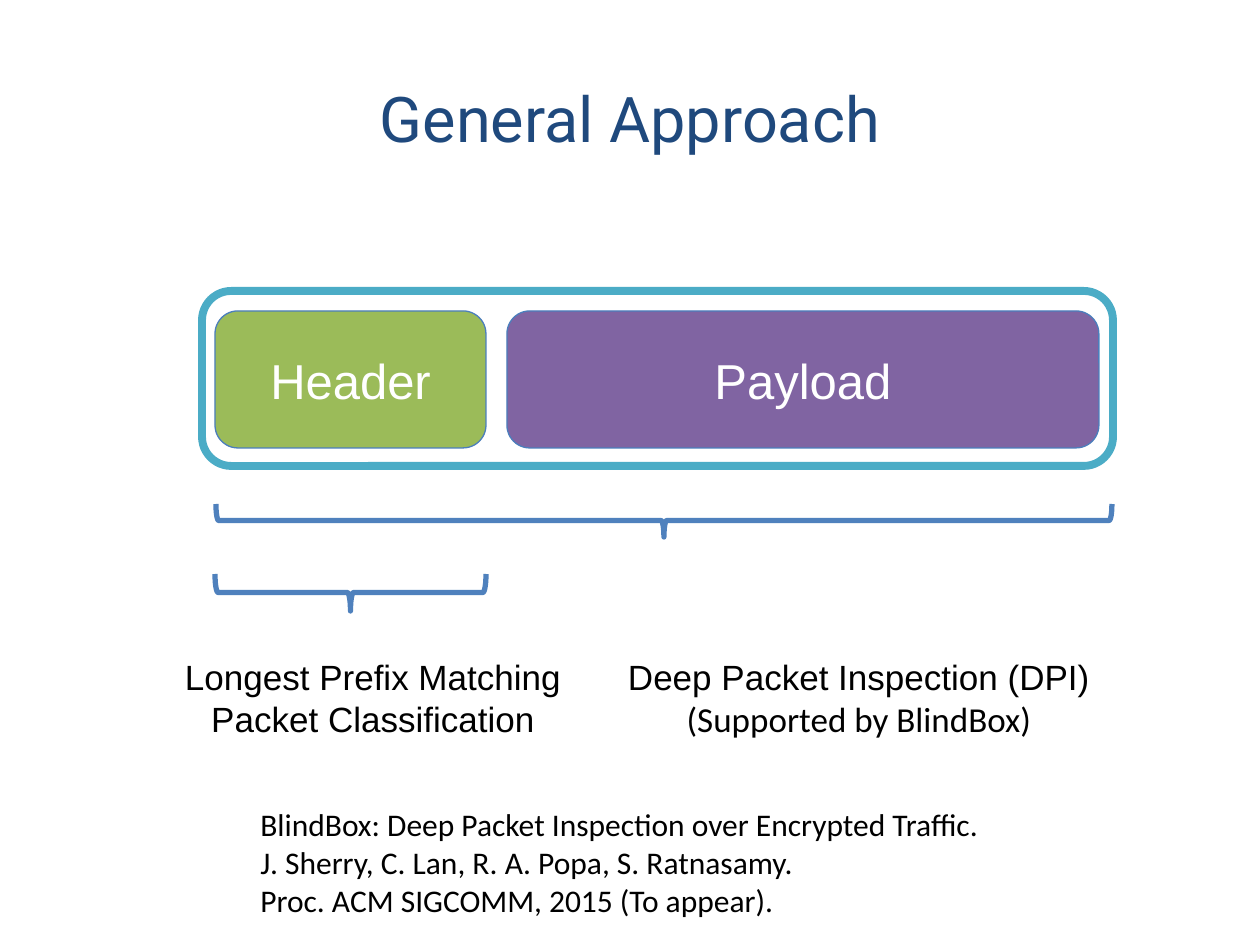
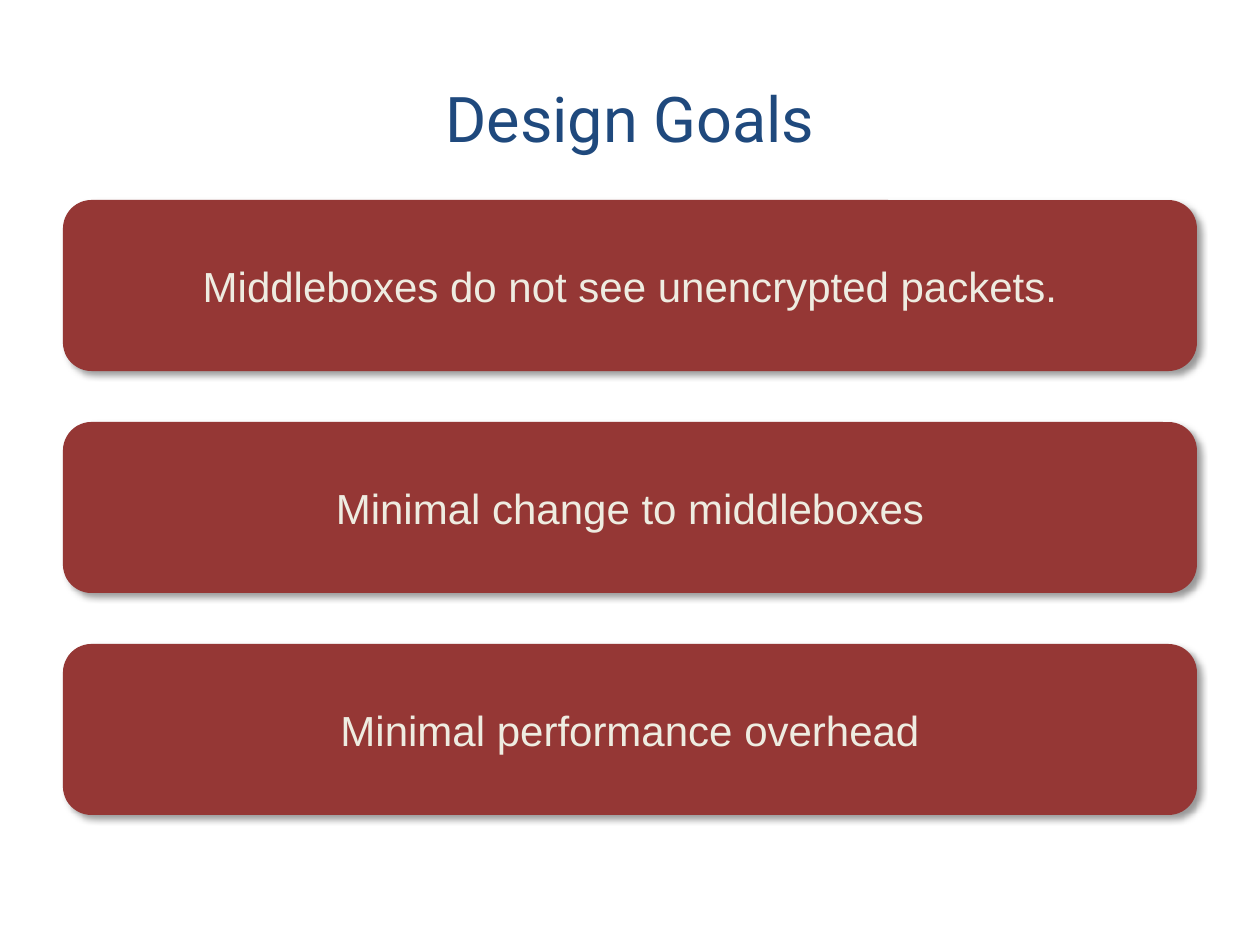
"""Build two slides on packet inspection: the general approach and the design goals."""
import pptx
import pptx.dml.color
import pptx.enum.shapes
import pptx.enum.text
import pptx.oxml
import pptx.oxml.ns
import pptx.util

RGBColor = pptx.dml.color.RGBColor
SHAPES = pptx.enum.shapes.MSO_SHAPE
ALIGN = pptx.enum.text.PP_ALIGN
MIDDLE = pptx.enum.text.MSO_ANCHOR.MIDDLE

NAVY = RGBColor(0x1F, 0x49, 0x7D)
GREEN = RGBColor(0x9B, 0xBB, 0x59)
PURPLE = RGBColor(0x80, 0x64, 0xA2)
TEAL = RGBColor(0x4B, 0xAC, 0xC6)
BLUE = RGBColor(0x4F, 0x81, 0xBD)
EDGE_BLUE = RGBColor(0x4B, 0x7E, 0xBC)
BRICK = RGBColor(0x95, 0x37, 0x35)
CREAM = RGBColor(0xEE, 0xEC, 0xE1)
WHITE = RGBColor(0xFF, 0xFF, 0xFF)
BLACK = RGBColor(0, 0, 0)

PX_PER_INCH = 126
TITLE_BOX = (63, 38, 1134, 158)

PACKET_FRAME = (202, 291, 911, 175)
PACKET_PARTS = [
    ("Header", (215, 311, 271, 137), GREEN),
    ("Payload", (507, 311, 592, 137), PURPLE),
]
BRACES = [(215, 574, 271, 37), (216, 504, 896, 33)]
CAPTIONS = [
    ((156, 649, 434, 97), 20, ALIGN.CENTER,
     [("Longest Prefix Matching", "Arial"), ("Packet Classification", "Arial")]),
    ((607, 649, 504, 97), 20, ALIGN.CENTER,
     [("Deep Packet Inspection (DPI)", "Arial"), ("(Supported by BlindBox)", "Calibri")]),
    ((248, 799, 780, 127), 18, ALIGN.LEFT,
     [("BlindBox: Deep Packet Inspection over Encrypted Traffic.", "Calibri"),
      ("J. Sherry, C. Lan, R. A. Popa, S. Ratnasamy.", "Calibri"),
      ("Proc. ACM SIGCOMM, 2015 (To appear).", "Calibri")]),
]

GOALS = [
    "Middleboxes do not see unencrypted packets.",
    "Minimal change to middleboxes",
    "Minimal performance overhead",
]
GOAL_LEFT, GOAL_TOP, GOAL_WIDTH, GOAL_HEIGHT = 63, 200, 1134, 171
GOAL_PITCH = 222

SHADOW_XML = (
    f'<a:effectLst {pptx.oxml.ns.nsdecls("a")}>'
    '<a:outerShdw blurRad="50800" dist="38100" dir="2700000" algn="tl" rotWithShape="0">'
    '<a:srgbClr val="000000"><a:alpha val="40000"/></a:srgbClr>'
    '</a:outerShdw></a:effectLst>'
)


def emu(box):
    return [pptx.util.Emu(round(px * 914400 / PX_PER_INCH)) for px in box]


def style_paragraph(paragraph, text, font_name, size, color, alignment=ALIGN.CENTER):
    paragraph.text = text
    paragraph.alignment = alignment
    paragraph.font.name = font_name
    paragraph.font.size = pptx.util.Pt(size)
    paragraph.font.color.rgb = color


def add_titled_slide(presentation, title):
    slide = presentation.slides.add_slide(presentation.slide_layouts[5])
    shape = slide.shapes.title
    shape.left, shape.top, shape.width, shape.height = emu(TITLE_BOX)
    shape.text_frame.vertical_anchor = MIDDLE
    style_paragraph(shape.text_frame.paragraphs[0], title, "Roboto", 36, NAVY)
    return slide


def add_shape(slide, kind, box, fill=None, line=None, line_width=0.75):
    shape = slide.shapes.add_shape(kind, *emu(box))
    shape.shadow.inherit = False
    if fill is None:
        shape.fill.background()
    else:
        shape.fill.solid()
        shape.fill.fore_color.rgb = fill
    if line is None:
        shape.line.fill.background()
    else:
        shape.line.color.rgb = line
        shape.line.width = pptx.util.Pt(line_width)
    return shape


def add_label_box(slide, text, box, fill, size, color, line=None):
    shape = add_shape(slide, SHAPES.ROUNDED_RECTANGLE, box, fill, line)
    shape.text_frame.word_wrap = True
    shape.text_frame.vertical_anchor = MIDDLE
    style_paragraph(shape.text_frame.paragraphs[0], text, "Arial", size, color)
    return shape


def add_bottom_brace(slide, box):
    left, top, width, height = box
    turned_box = (left + (width - height) / 2, top + (height - width) / 2, height, width)
    brace = add_shape(slide, SHAPES.LEFT_BRACE, turned_box, line=BLUE, line_width=3)
    brace.rotation = 270


def add_caption(slide, box, size, alignment, lines):
    text_frame = slide.shapes.add_textbox(*emu(box)).text_frame
    text_frame.word_wrap = False
    text_frame.auto_size = pptx.enum.text.MSO_AUTO_SIZE.SHAPE_TO_FIT_TEXT
    for index, (text, font_name) in enumerate(lines):
        paragraph = text_frame.add_paragraph() if index else text_frame.paragraphs[0]
        style_paragraph(paragraph, text, font_name, size, BLACK, alignment)


def add_soft_shadow(shape):
    properties = shape.element.spPr
    properties.remove(properties.find(pptx.oxml.ns.qn("a:effectLst")))
    properties.append(pptx.oxml.parse_xml(SHADOW_XML))


def build_approach(presentation):
    slide = add_titled_slide(presentation, "General Approach")
    for text, box, fill in PACKET_PARTS:
        add_label_box(slide, text, box, fill, 28, WHITE, EDGE_BLUE)
    add_shape(slide, SHAPES.ROUNDED_RECTANGLE, PACKET_FRAME, line=TEAL, line_width=4.5)
    for box in BRACES:
        add_bottom_brace(slide, box)
    for caption in CAPTIONS:
        add_caption(slide, *caption)


def build_goals(presentation):
    slide = add_titled_slide(presentation, "Design Goals")
    for index, goal in enumerate(GOALS):
        box = (GOAL_LEFT, GOAL_TOP + index * GOAL_PITCH, GOAL_WIDTH, GOAL_HEIGHT)
        add_soft_shadow(add_label_box(slide, goal, box, BRICK, 24, CREAM))


def main():
    presentation = pptx.Presentation()
    presentation.slide_width, presentation.slide_height = emu((1260, 945))
    build_approach(presentation)
    build_goals(presentation)
    presentation.save("out.pptx")


if __name__ == "__main__":
    main()
